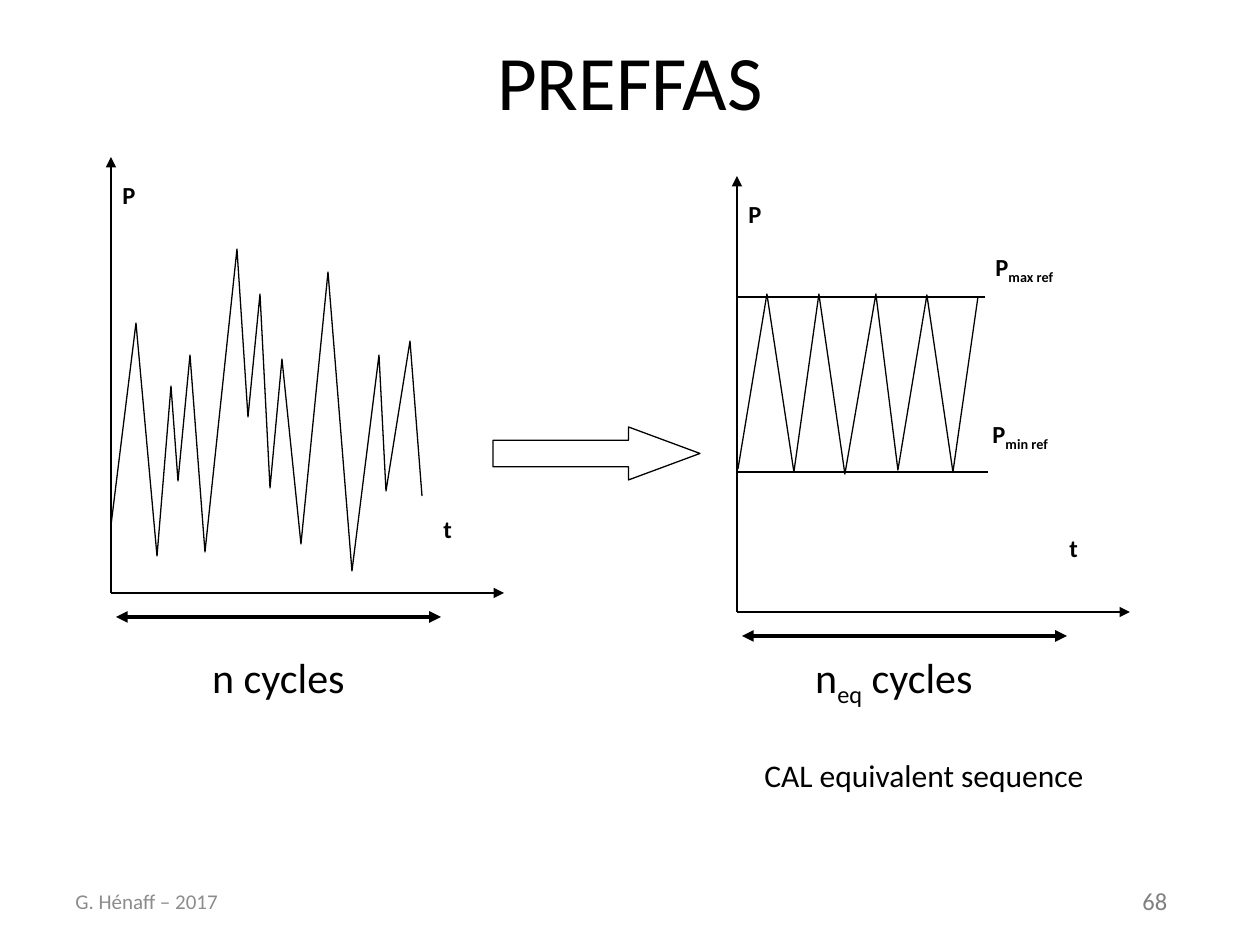
"""Build the PREFFAS slide: a load history turned into an equivalent sequence."""
from lxml import etree
from pptx import Presentation, util as u
from pptx.dml.color import RGBColor
from pptx.enum import shapes, text
from pptx.oxml.ns import qn

PX = 914400 / 126
FONT = "Calibri"
COLORS = {"ink": "000000", "paper": "FFFFFF", "number": "808080", "footer": "8C8C8C"}

TITLE = (63, 1, 1134, 158)
FOOTER = (63, 876, 294, 50)
ARROW = (493, 427, 207, 53)

ORIGINS = [(111, 593), (737, 612)]
AXIS_LABELS = [("P", (-1, -419, 39, 43)), ("t", (320, -85, 34, 43))]
AXIS_LINES = [
    ((0, 0), (393, 0), 1.5, ["tail"]),
    ((0, 0), (0, -436), 1.5, ["tail"]),
    ((5, 24), (330, 24), 2.25, ["head", "tail"]),
]
LOADS = [
    [(111, 525), (136, 323), (157, 556), (171, 386), (178, 481), (190, 355),
     (205, 552), (237, 249), (248, 417), (260, 294), (270, 488), (282, 359),
     (301, 544), (328, 272), (352, 571), (379, 355), (386, 491), (410, 341),
     (422, 496)],
    [(738, 469), (767, 294), (794, 472), (819, 294), (845, 474), (876, 294),
     (898, 470), (927, 295), (953, 472), (978, 297)],
]
LIMITS = [((736, 297), (985, 297)), ((738, 472), (988, 472))]
LIMIT_LABELS = [("max ref", (983, 246, 91, 43)), ("min ref", (980, 413, 88, 43))]
CYCLES = [
    ([("n cycles", False)], (197, 645, 163, 63)),
    ([("n", False), ("eq", True), (" cycles", False)], (799, 645, 190, 63)),
]


def px(*values):
    return [round(value * PX) for value in values]


def color(name):
    return RGBColor.from_string(COLORS[name])


def add_text(page, spot, spans, size, ink="ink", bold=False, center=False,
             middle=False, wrap=False):
    box = page.shapes.add_textbox(*px(*spot))
    frame = box.text_frame
    frame.word_wrap = wrap
    frame.auto_size = text.MSO_AUTO_SIZE.NONE if wrap else text.MSO_AUTO_SIZE.SHAPE_TO_FIT_TEXT
    frame.vertical_anchor = text.MSO_ANCHOR.MIDDLE if middle else text.MSO_ANCHOR.TOP
    para = frame.paragraphs[0]
    para.alignment = text.PP_ALIGN.CENTER if center else text.PP_ALIGN.LEFT
    for words, lowered in spans:
        span = para.add_run()
        span.text = words
        span.font.name = FONT
        span.font.size = u.Pt(size)
        span.font.bold = bold
        span.font.color.rgb = color(ink)
        if lowered:
            span.font._element.set("baseline", "-25000")


def add_line(page, start, end, width, heads=()):
    line = page.shapes.add_connector(shapes.MSO_CONNECTOR.STRAIGHT, *px(*start, *end))
    line.line.width = u.Pt(width)
    line.line.color.rgb = color("ink")
    properties = line._element.spPr
    outline = properties.find(qn("a:ln"))
    for head in heads:
        etree.SubElement(outline, qn(f"a:{head}End"), type="triangle")
    etree.SubElement(properties, qn("a:effectLst"))


def style_outline(shape):
    shape.shadow.inherit = False
    shape.line.color.rgb = color("ink")
    shape.line.width = u.Pt(0.75)


def add_load(page, points):
    builder = page.shapes.build_freeform(*points[0], scale=PX)
    builder.add_line_segments(points[1:], close=False)
    load = builder.convert_to_shape()
    load.fill.background()
    style_outline(load)


def add_graph(page, origin, points):
    left, top = origin
    for start, end, width, heads in AXIS_LINES:
        add_line(page, (left + start[0], top + start[1]),
                 (left + end[0], top + end[1]), width, heads)
    for words, (x, y, width, height) in AXIS_LABELS:
        add_text(page, (left + x, top + y, width, height), [(words, False)], 14, bold=True)
    add_load(page, points)


def main():
    deck = Presentation()
    deck.slide_width, deck.slide_height = u.Inches(10), u.Inches(7.5)
    page = deck.slides.add_slide(deck.slide_layouts[6])

    add_text(page, (1130, 880, 67, 43), [("68", False)], 14, "number")
    add_text(page, TITLE, [("PREFFAS", False)], 44, center=True, middle=True, wrap=True)
    add_text(page, FOOTER, [("G. Hénaff – 2017", False)], 12, "footer", middle=True, wrap=True)

    for origin, points in zip(ORIGINS, LOADS):
        add_graph(page, origin, points)
    for spans, spot in CYCLES:
        add_text(page, spot, spans, 24, center=True)

    arrow = page.shapes.add_shape(shapes.MSO_SHAPE.RIGHT_ARROW, *px(*ARROW))
    arrow.adjustments[1] = 1.35
    arrow.fill.solid()
    arrow.fill.fore_color.rgb = color("paper")
    style_outline(arrow)

    for start, end in LIMITS:
        add_line(page, start, end, 0.75)
    for name, spot in LIMIT_LABELS:
        add_text(page, spot, [("P", False), (name, True)], 14, bold=True)
    add_text(page, (752, 750, 349, 50), [("CAL equivalent sequence", False)], 18)

    deck.save("out.pptx")


if __name__ == "__main__":
    main()
